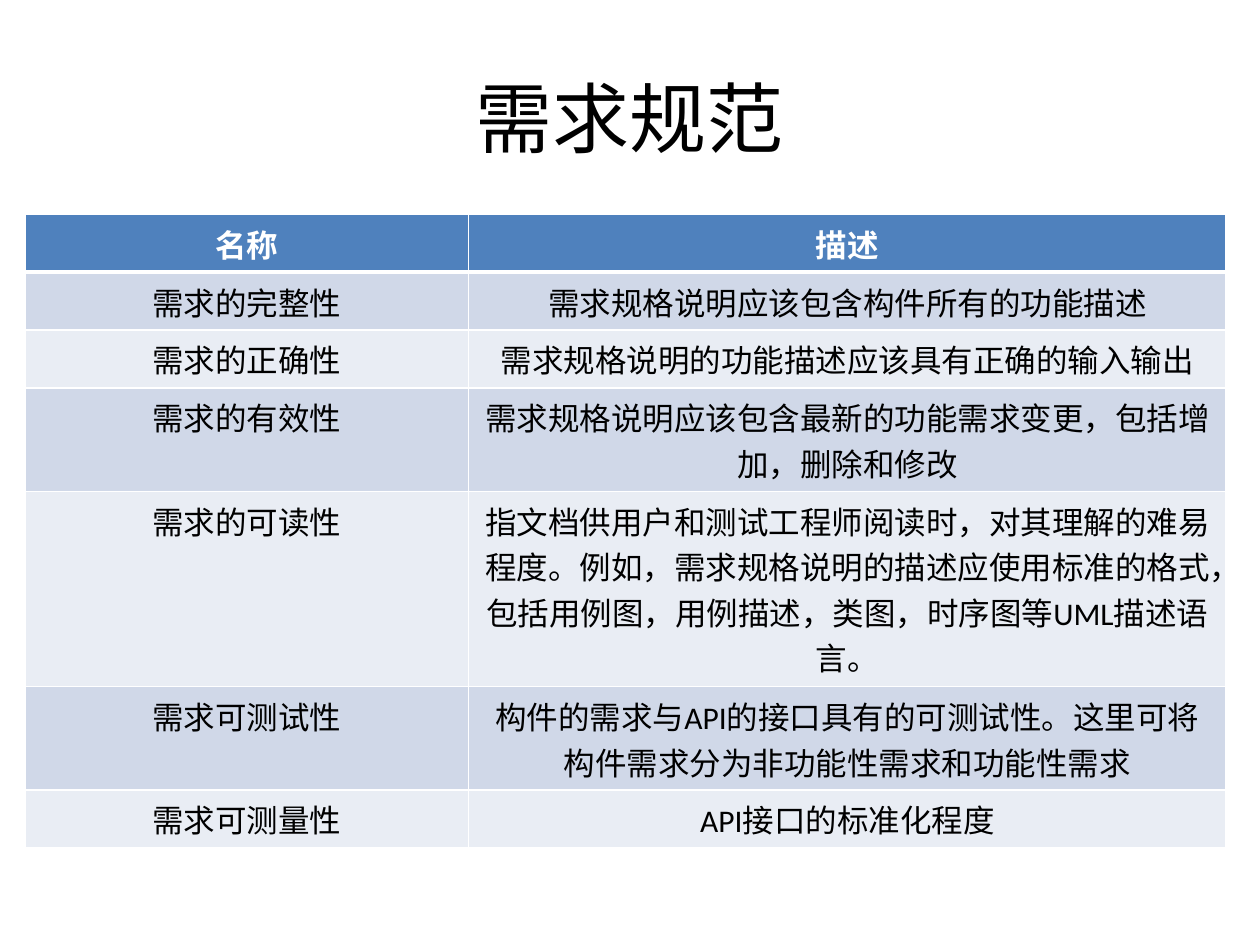
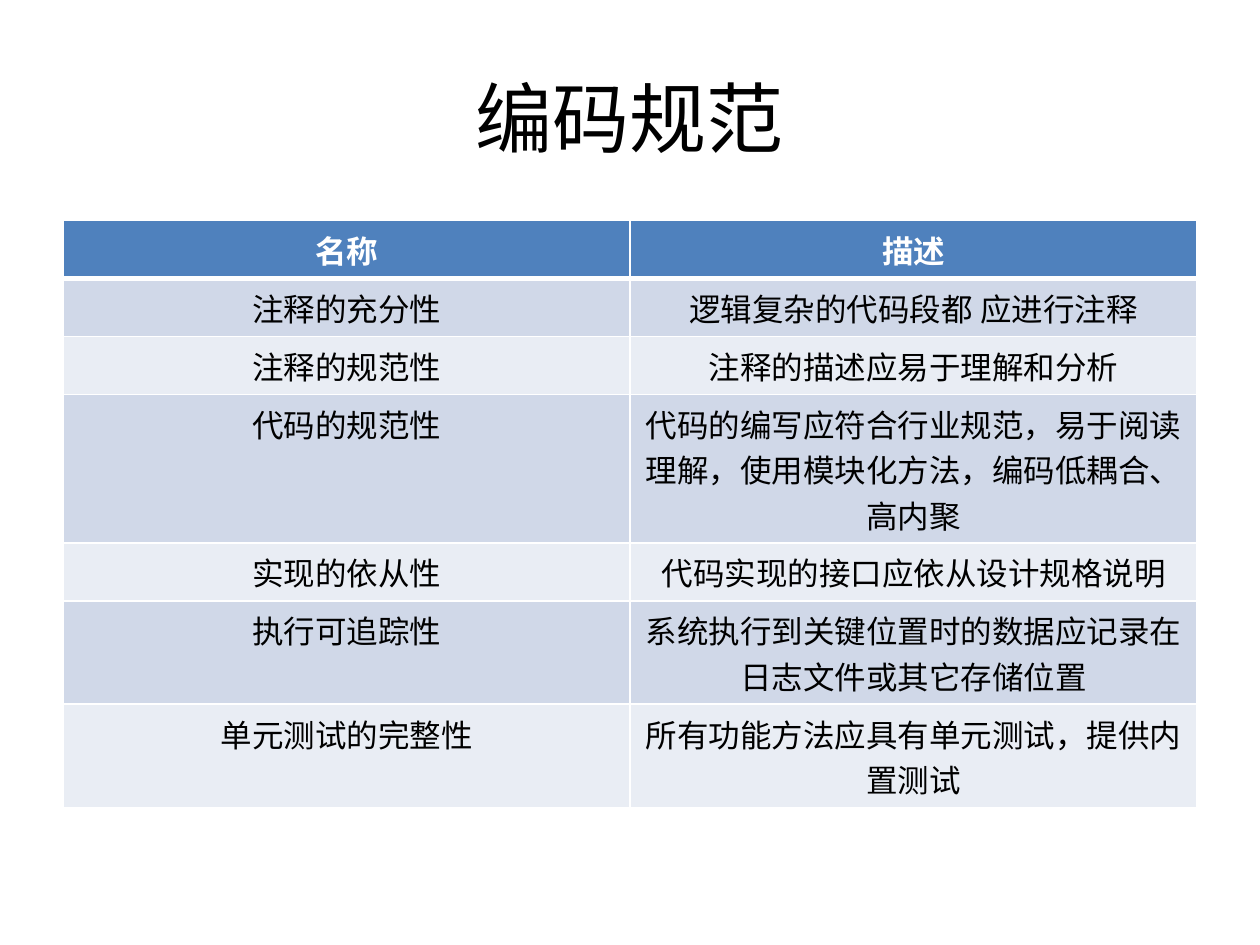
from lxml import etree
from pptx import Presentation
from pptx.dml.color import RGBColor
from pptx.enum.lang import MSO_LANGUAGE_ID
from pptx.enum.text import MSO_ANCHOR, PP_ALIGN
from pptx.oxml.ns import qn
from pptx.util import Inches, Pt

CENTER = PP_ALIGN.CENTER
MIDDLE = MSO_ANCHOR.MIDDLE
CHINESE = MSO_LANGUAGE_ID.SIMPLIFIED_CHINESE

FONT = "Calibri"
COLORS = {
    "text": "000000",
    "header": "4F81BD",
    "header_text": "FFFFFF",
    "band_dark": "D0D8E8",
    "band_light": "E9EDF4",
    "border": "FFFFFF",
}

# Row height by number of text lines
ROW_HEIGHTS = {1: 0.46, 2: 0.82, 3: 1.18, 4: 1.55}

# Each row: line count, name, description
HEADINGS = (1, "名称", "描述")
SLIDES = [
    {
        "title": "需求规范",
        "left": 0.2, "top": 1.7, "columns": (3.52, 6.01),
        "rows": [
            (1, "需求的完整性", "需求规格说明应该包含构件所有的功能描述"),
            (1, "需求的正确性", "需求规格说明的功能描述应该具有正确的输入输出"),
            (2, "需求的有效性", "需求规格说明应该包含最新的功能需求变更，包括增加，删除和修改"),
            (4, "需求的可读性", "指文档供用户和测试工程师阅读时，对其理解的难易程度。"
                          "例如，需求规格说明的描述应使用标准的格式，"
                          "包括用例图，用例描述，类图，时序图等UML描述语言。"),
            (2, "需求可测试性", "构件的需求与API的接口具有的可测试性。"
                          "这里可将构件需求分为非功能性需求和功能性需求"),
            (1, "需求可测量性", "API接口的标准化程度"),
        ],
    },
    {
        "title": "编码规范",
        "left": 0.5, "top": 1.75, "columns": (4.5, 4.5),
        "rows": [
            (1, "注释的充分性", "逻辑复杂的代码段都 应进行注释"),
            (1, "注释的规范性", "注释的描述应易于理解和分析"),
            (3, "代码的规范性", "代码的编写应符合行业规范，易于阅读理解，"
                          "使用模块化方法，编码低耦合、高内聚"),
            (1, "实现的依从性", "代码实现的接口应依从设计规格说明"),
            (2, "执行可追踪性", "系统执行到关键位置时的数据应记录在日志文件或其它存储位置"),
            (2, "单元测试的完整性", "所有功能方法应具有单元测试，提供内置测试"),
        ],
    },
]


def write_text(text_frame, text, size, color, bold=False):
    text_frame.text = text
    paragraph = text_frame.paragraphs[0]
    paragraph.alignment = CENTER
    font = paragraph.runs[0].font
    font.name = FONT
    font.size = Pt(size)
    font.bold = bold
    font.color.rgb = RGBColor.from_string(COLORS[color])
    font.language_id = CHINESE


def set_borders(cell, top, bottom):
    properties = cell._tc.get_or_add_tcPr()
    widths = {"a:lnL": 1, "a:lnR": 1, "a:lnT": top, "a:lnB": bottom}
    # Border lines come before the fill in the cell properties
    for position, (tag, width) in enumerate(widths.items()):
        line = etree.Element(qn(tag), w=str(Pt(width)))
        fill = etree.SubElement(line, qn("a:solidFill"))
        etree.SubElement(fill, qn("a:srgbClr"), val=COLORS["border"])
        properties.insert(position, line)


presentation = Presentation()
presentation.slide_width = Inches(10)
presentation.slide_height = Inches(7.5)
blank_layout = presentation.slide_layouts[6]

for content in SLIDES:
    slide = presentation.slides.add_slide(blank_layout)

    # Title
    title = slide.shapes.add_textbox(Inches(0.5), Inches(0.3), Inches(9), Inches(1.25))
    title.text_frame.word_wrap = True
    title.text_frame.vertical_anchor = MIDDLE
    write_text(title.text_frame, content["title"], 44, "text")

    # Table grid
    rows = [HEADINGS] + content["rows"]
    columns = content["columns"]
    heights = [ROW_HEIGHTS[line_count] for line_count, *texts in rows]
    table = slide.shapes.add_table(
        len(rows), len(columns), Inches(content["left"]), Inches(content["top"]),
        Inches(sum(columns)), Inches(sum(heights))).table
    for column, width in zip(table.columns, columns):
        column.width = Inches(width)
    for table_row, height in zip(table.rows, heights):
        table_row.height = Inches(height)

    # Header row and banded rows
    for row_index, (line_count, *texts) in enumerate(rows):
        is_header = row_index == 0
        if is_header:
            fill_color = "header"
        else:
            fill_color = "band_dark" if row_index % 2 else "band_light"
        for column_index, text in enumerate(texts):
            cell = table.cell(row_index, column_index)
            cell.fill.solid()
            cell.fill.fore_color.rgb = RGBColor.from_string(COLORS[fill_color])
            write_text(cell.text_frame, text, 18,
                       "header_text" if is_header else "text", is_header)
            set_borders(cell, top=3 if row_index == 1 else 1,
                        bottom=3 if is_header else 1)

presentation.save("out.pptx")
